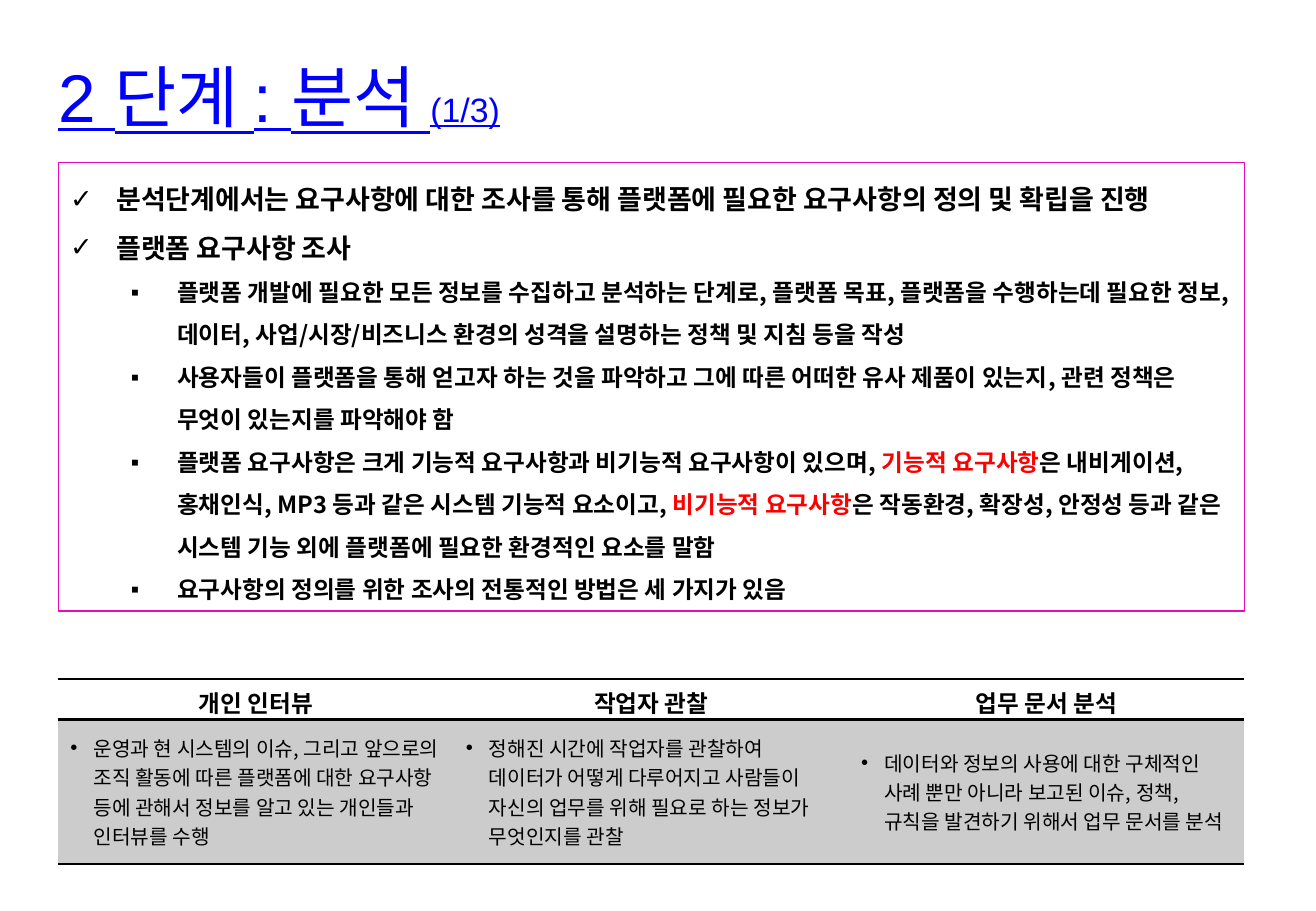
from lxml.etree import SubElement
from pptx import Presentation
from pptx.dml.color import RGBColor
from pptx.enum.shapes import MSO_SHAPE as Shape
from pptx.enum.text import MSO_ANCHOR as Anchor, MSO_AUTO_SIZE as AutoSize, PP_ALIGN as Align
from pptx.oxml.ns import qn
from pptx.util import Inches, Pt

KOREAN = "Noto Sans CJK KR"
BLACK, RED, BLUE, PINK, GREY = "000000", "FF0000", "0000FF", "E50BBB", "CCCCCC"
NO_STYLE = "{2D5ABB26-0587-4C30-8999-92F81FD0307C}"

GOALS = [
    "분석단계에서는 요구사항에 대한 조사를 통해 플랫폼에 필요한 요구사항의 정의 및 확립을 진행",
    "플랫폼 요구사항 조사",
]
# Each detail is a list of (text, colour) runs.
DETAILS = [
    [("플랫폼 개발에 필요한 모든 정보를 수집하고 분석하는 단계로, 플랫폼 목표, 플랫폼을 수행하는데 "
      "필요한 정보, 데이터, 사업/시장/비즈니스 환경의 성격을 설명하는 정책 및 지침 등을 작성", BLACK)],
    [("사용자들이 플랫폼을 통해 얻고자 하는 것을 파악하고 그에 따른 어떠한 유사 제품이 있는지, "
      "관련 정책은 무엇이 있는지를 파악해야 함", BLACK)],
    [("플랫폼 요구사항은 크게 기능적 요구사항과 비기능적 요구사항이 있으며, ", BLACK),
     ("기능적 요구사항", RED),
     ("은 내비게이션, 홍채인식, MP3 등과 같은 시스템 기능적 요소이고, ", BLACK),
     ("비기능적 요구사항", RED),
     ("은 작동환경, 확장성, 안정성 등과 같은 시스템 기능 외에 플랫폼에 필요한 환경적인 요소를 말함", BLACK)],
    [("요구사항의 정의를 위한 조사의 전통적인 방법은 세 가지가 있음", BLACK)],
]
METHODS = {
    "개인 인터뷰": "운영과 현 시스템의 이슈, 그리고 앞으로의 조직 활동에 따른 플랫폼에 대한 "
                "요구사항 등에 관해서 정보를 알고 있는 개인들과 인터뷰를 수행",
    "작업자 관찰": "정해진 시간에 작업자를 관찰하여 데이터가 어떻게 다루어지고 사람들이 "
                "자신의 업무를 위해 필요로 하는 정보가 무엇인지를 관찰",
    "업무 문서 분석": "데이터와 정보의 사용에 대한 구체적인 사례 뿐만 아니라 보고된 이슈, 정책, "
                  "규칙을 발견하기 위해서 업무 문서를 분석",
}


def color(hex_code):
    """Turn a hex string into a colour."""
    return RGBColor.from_string(hex_code)


def add_run(paragraph, text, size, hex_code=BLACK, bold=False, latin=KOREAN):
    """Append one run with its Latin and Korean fonts."""
    run = paragraph.add_run()
    run.text = text
    font = run.font
    font.size, font.bold, font.name = Pt(size), bold, latin
    font.color.rgb = color(hex_code)
    SubElement(font._element, qn("a:ea"), typeface=KOREAN)
    return run


def set_bullet(paragraph, mark, indent, hanging):
    """Give a paragraph a hanging bullet."""
    props = paragraph._p.get_or_add_pPr()
    props.set("marL", str(Inches(indent)))
    props.set("indent", str(-Inches(hanging)))
    SubElement(props, qn("a:buFont"), typeface="Arial")
    SubElement(props, qn("a:buChar"), char=mark)


def add_heading(slide, left, top, width, height):
    """Place and format the slide title."""
    heading = slide.shapes.title
    heading.left, heading.top = Inches(left), Inches(top)
    heading.width, heading.height = Inches(width), Inches(height)
    frame = heading.text_frame
    frame.word_wrap, frame.auto_size = False, AutoSize.NONE
    frame.vertical_anchor = Anchor.TOP
    line = frame.paragraphs[0]
    line.alignment = Align.LEFT
    for text, size in (("2 단계 : 분석 ", 40), ("(1/3)", 20)):
        add_run(line, text, size, BLUE, latin="Arial").font.underline = True


def add_summary(slide, left, top, width, height):
    """Draw the framed two-level list."""
    frame_box = slide.shapes.add_shape(
        Shape.RECTANGLE, Inches(left), Inches(top), Inches(width), Inches(height))
    frame_box.shadow.inherit = False
    frame_box.fill.background()
    frame_box.line.color.rgb = color(PINK)
    frame_box.line.width = Pt(0.75)
    frame = frame_box.text_frame
    frame.word_wrap = True
    frame.vertical_anchor = Anchor.TOP
    frame.margin_top = Inches(0.03)
    items = [("✓", 0.38, 16, [(goal, BLACK)]) for goal in GOALS]
    items += [("▪", 0.88, 14, detail) for detail in DETAILS]
    for index, (mark, indent, size, runs) in enumerate(items):
        line = frame.add_paragraph() if index else frame.paragraphs[0]
        line.alignment = Align.LEFT
        line.line_spacing = Pt(1.8 * size)
        set_bullet(line, mark, indent, 0.38)
        for text, hex_code in runs:
            add_run(line, text, size, hex_code, bold=True)


def add_border(cell, side, width):
    """Rule one side of a cell in black."""
    edge = SubElement(cell._tc.get_or_add_tcPr(), qn(f"a:{side}"), w=str(Pt(width)))
    fill = SubElement(edge, qn("a:solidFill"))
    SubElement(fill, qn("a:srgbClr"), val=BLACK)


def add_methods(slide, left, top, width, height, header_height=0.33):
    """Build the table of survey methods."""
    table = slide.shapes.add_table(
        2, len(METHODS), Inches(left), Inches(top), Inches(width), Inches(height)).table
    table.first_row = table.horz_banding = False
    table._tbl.tblPr.find(qn("a:tableStyleId")).text = NO_STYLE
    table.rows[0].height = Inches(header_height)
    table.rows[1].height = Inches(height - header_height)
    for column, (method, description) in enumerate(METHODS.items()):
        table.columns[column].width = Inches(width / len(METHODS))
        header, body = table.cell(0, column), table.cell(1, column)
        header.vertical_anchor = body.vertical_anchor = Anchor.MIDDLE
        header.margin_top, header.margin_bottom = Inches(0.05), 0

        add_border(header, "lnT", 1)
        add_border(header, "lnB", 1.5)
        header.fill.background()
        title = header.text_frame.paragraphs[0]
        title.alignment = Align.CENTER
        add_run(title, method, 14, bold=True)

        add_border(body, "lnT", 1.5)
        add_border(body, "lnB", 1)
        body.fill.solid()
        body.fill.fore_color.rgb = color(GREY)
        explanation = body.text_frame.paragraphs[0]
        set_bullet(explanation, "•", 0.19, 0.19)
        add_run(explanation, description, 12)


def main():
    """Assemble and save the slide."""
    deck = Presentation()
    deck.slide_width, deck.slide_height = Inches(10.83), Inches(7.5)
    slide = deck.slides.add_slide(deck.slide_layouts[5])
    add_heading(slide, 0.38, 0.4, 4.96, 0.77)
    add_summary(slide, 0.48, 1.34, 9.76, 3.69)
    add_methods(slide, 0.48, 5.59, 9.76, 1.52)
    deck.save("out.pptx")


main()
